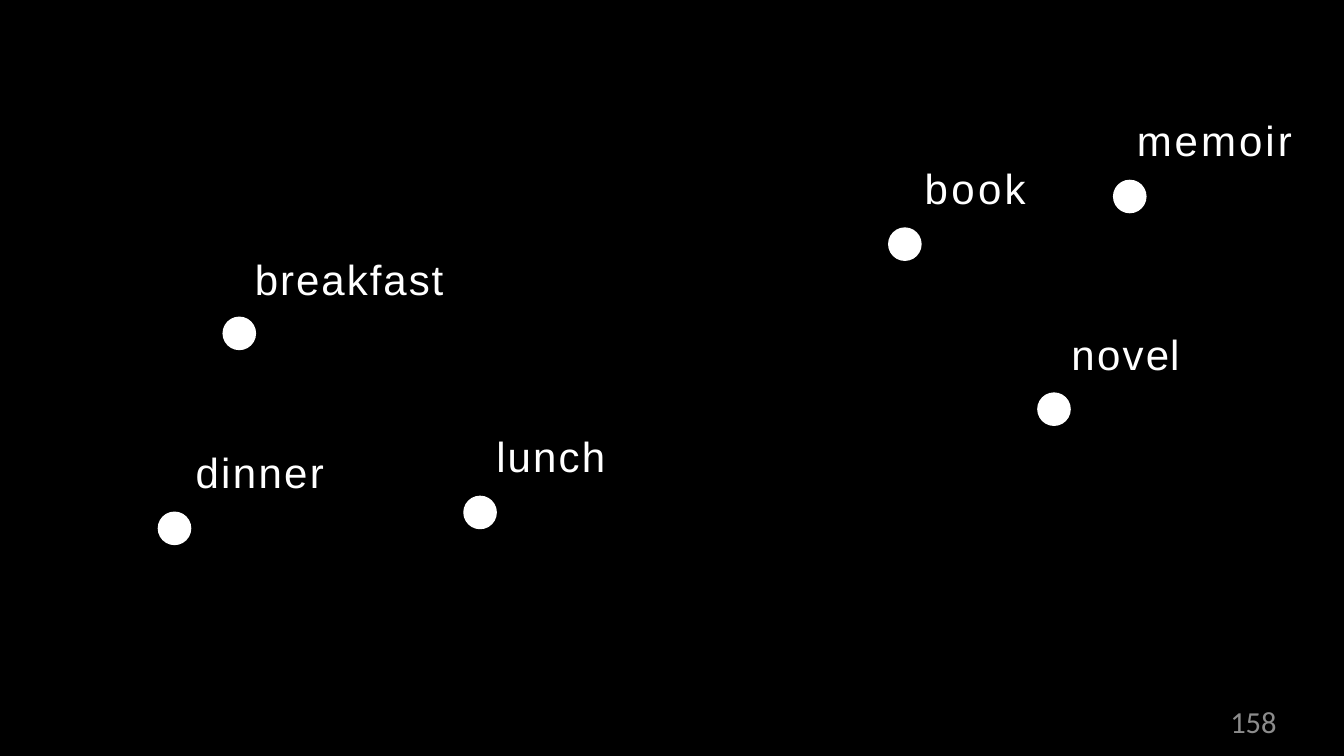
from pptx import Presentation
from pptx.dml.color import RGBColor
from pptx.enum.shapes import MSO_SHAPE
from pptx.enum.text import MSO_ANCHOR, MSO_AUTO_SIZE, PP_ALIGN
from pptx.util import Inches, Pt

OVAL = MSO_SHAPE.OVAL
TOP = MSO_ANCHOR.TOP
FIXED = MSO_AUTO_SIZE.NONE
LEFT, RIGHT = PP_ALIGN.LEFT, PP_ALIGN.RIGHT

WIDE, HIGH = 21.99, 12.37
BLACK, WHITE, GRAY = "000000", "FFFFFF", "8C8C8C"
DOT = 0.55
LABEL = 0.85
INSET = 0.01

TITLE = "memoir"
WORDS = [
    ((3.64, 5.18), (4.16, 4.14, 3.16), [("breakfast", 2.4)]),
    ((7.58, 8.11), (8.11, 7.04, 1.85), [("lunch", 2.6)]),
    ((2.58, 8.37), (3.19, 7.3, 2.17), [("dinner", 2.8)]),
    ((14.53, 3.72), (15.12, 2.65, 1.75), [("book", 4)]),
    ((16.97, 6.42), (17.52, 5.36, 1.82),
     [("n", 2.8), ("o", 2.6), ("v", 2.5), ("el", 1.3)]),
    ((18.21, 2.94), (18.59, 1.87, 2.62), [(TITLE, 3.6)]),
]
NUMBER = "158"


def color(code):
    return RGBColor.from_string(code)


def place(box, x, y, w, h):
    box.left, box.top = Inches(x), Inches(y)
    box.width, box.height = Inches(w), Inches(h)


def write(box, runs, font, size, tint, align, inset=0):
    frame = box.text_frame
    frame.word_wrap = True
    frame.auto_size = FIXED
    frame.vertical_anchor = TOP
    frame.margin_left = frame.margin_right = frame.margin_bottom = 0
    frame.margin_top = Inches(inset)
    para = frame.paragraphs[0]
    para.alignment = align
    for text, gap in runs:
        run = para.add_run()
        run.text = text
        run.font.name = font
        run.font.size = Pt(size)
        run.font.color.rgb = color(tint)
        if gap:
            run.font._element.set("spc", str(round(gap * 100)))
    return para


def draw_dot(slide, x, y):
    dot = slide.shapes.add_shape(
        OVAL, Inches(x), Inches(y), Inches(DOT), Inches(DOT))
    dot.shadow.inherit = False
    dot.fill.solid()
    dot.fill.fore_color.rgb = color(WHITE)
    dot.line.fill.background()


def draw_word(slide, spot, area, runs):
    draw_dot(slide, *spot)
    if runs[0][0] == TITLE:
        box = slide.shapes.title
    else:
        box = slide.shapes.add_textbox(0, 0, 0, 0)
    place(box, *area, LABEL)
    para = write(box, runs, "Arial", 49.5, WHITE, LEFT, INSET)
    para._p.get_or_add_pPr().set("marL", str(Inches(INSET)))


def main():
    deck = Presentation()
    deck.slide_width, deck.slide_height = Inches(WIDE), Inches(HIGH)
    slide = deck.slides.add_slide(deck.slide_layouts[5])
    back = slide.background.fill
    back.solid()
    back.fore_color.rgb = color(BLACK)
    for spot, area, runs in WORDS:
        draw_word(slide, spot, area, runs)
    page = slide.shapes.add_textbox(0, 0, 0, 0)
    place(page, 15.83, 11.5, 5.06, 0.61)
    write(page, [(NUMBER, 0)], "Calibri", 36, GRAY, RIGHT)
    deck.save("out.pptx")


if __name__ == "__main__":
    main()
